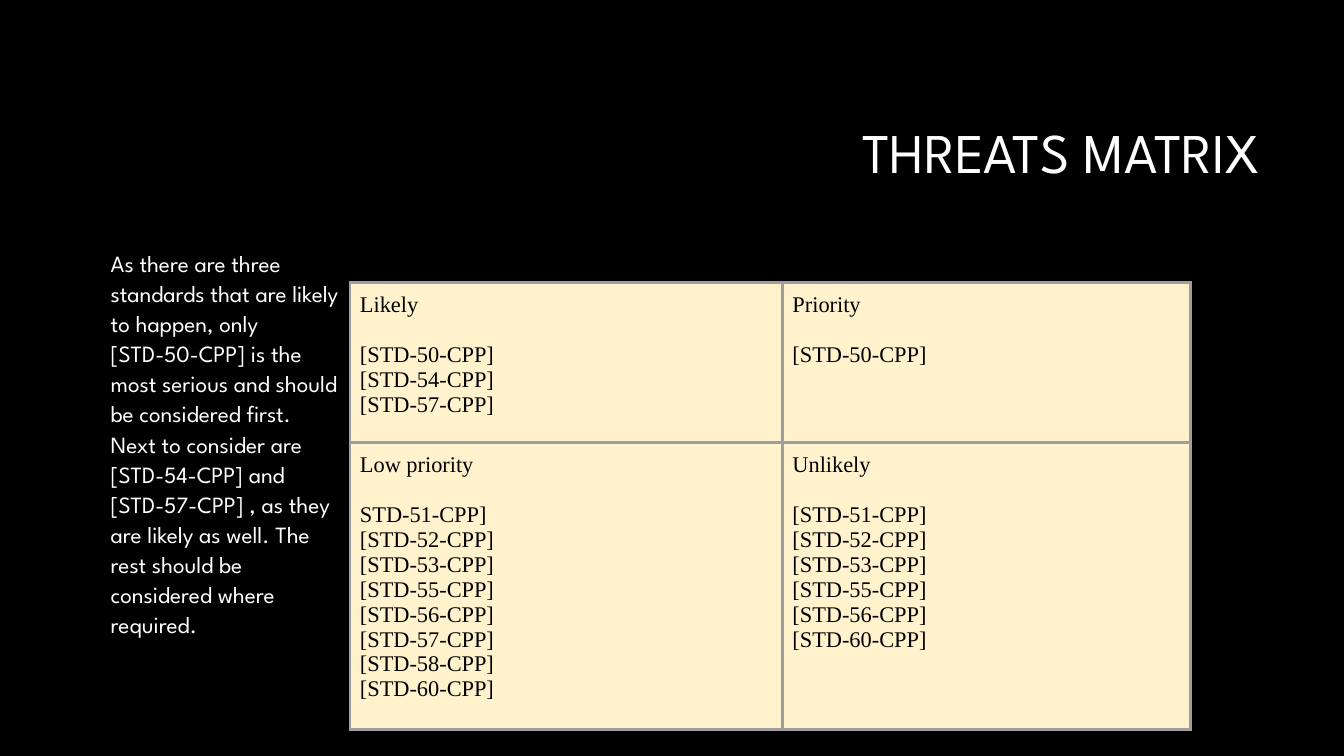
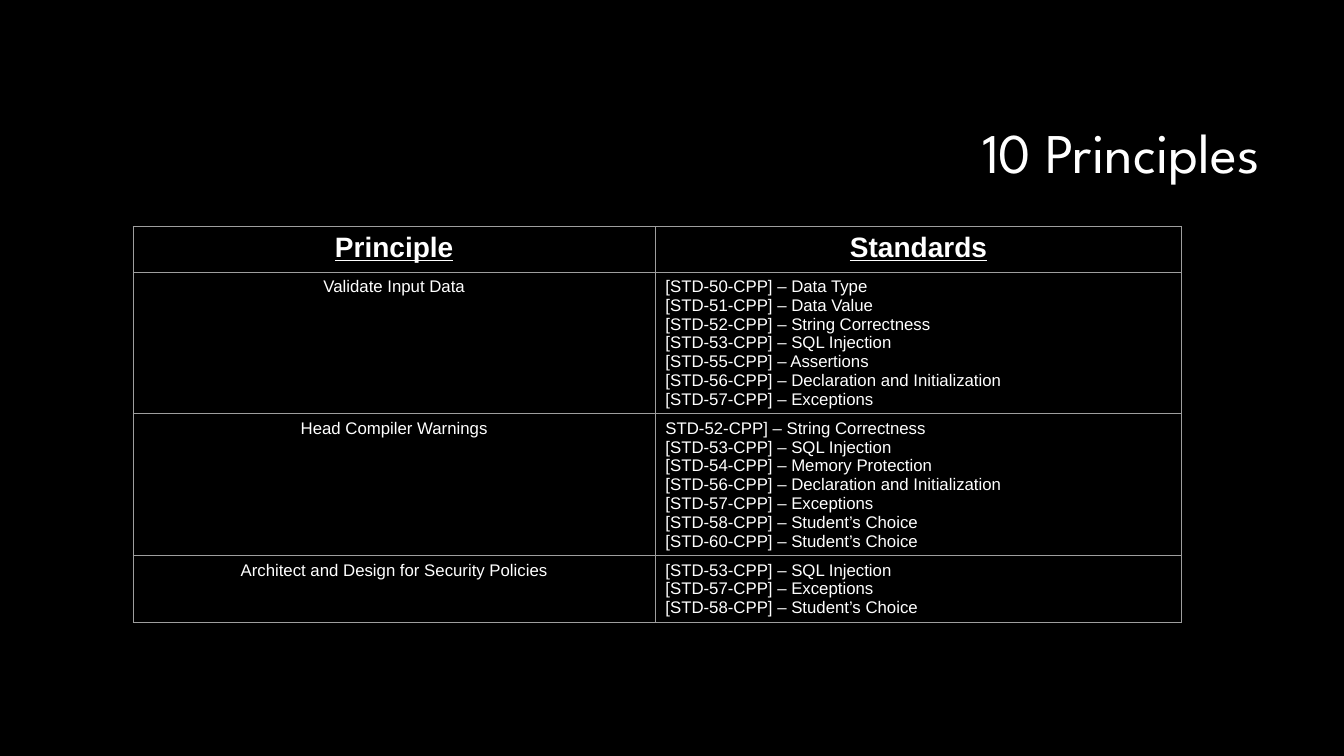
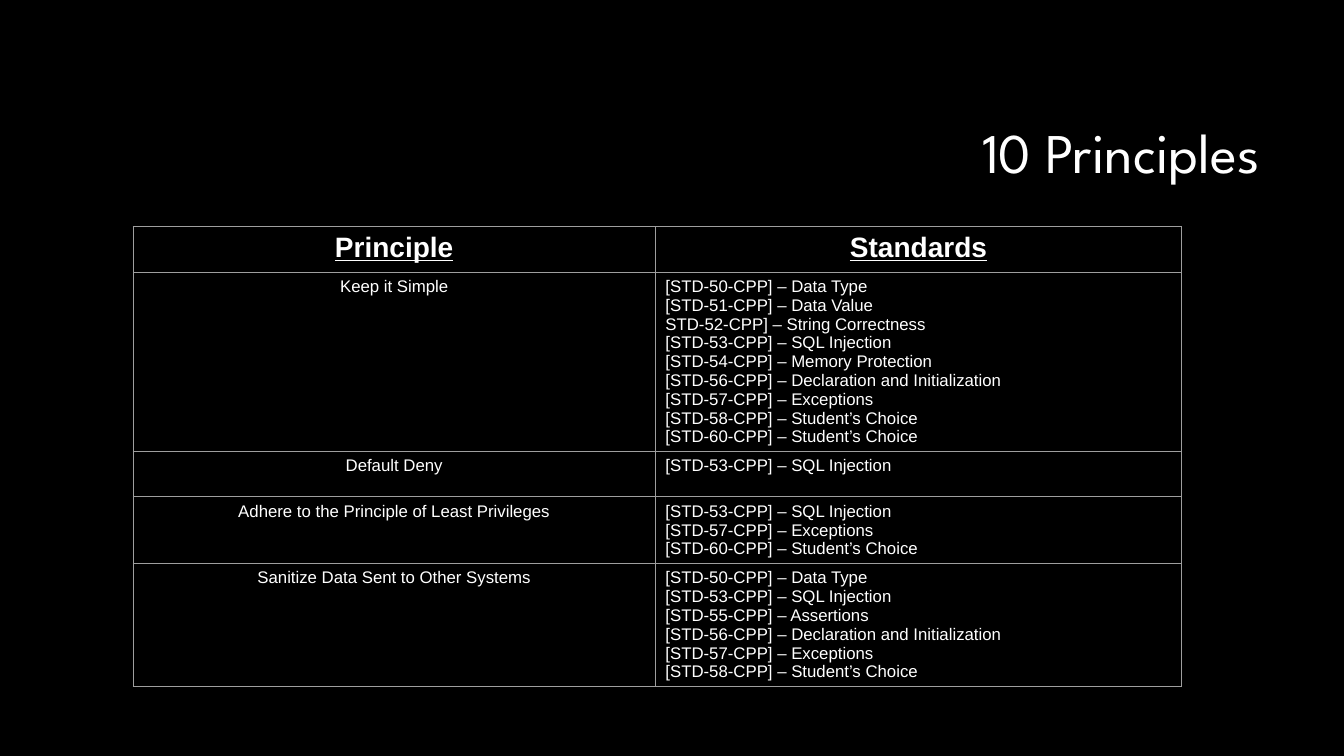
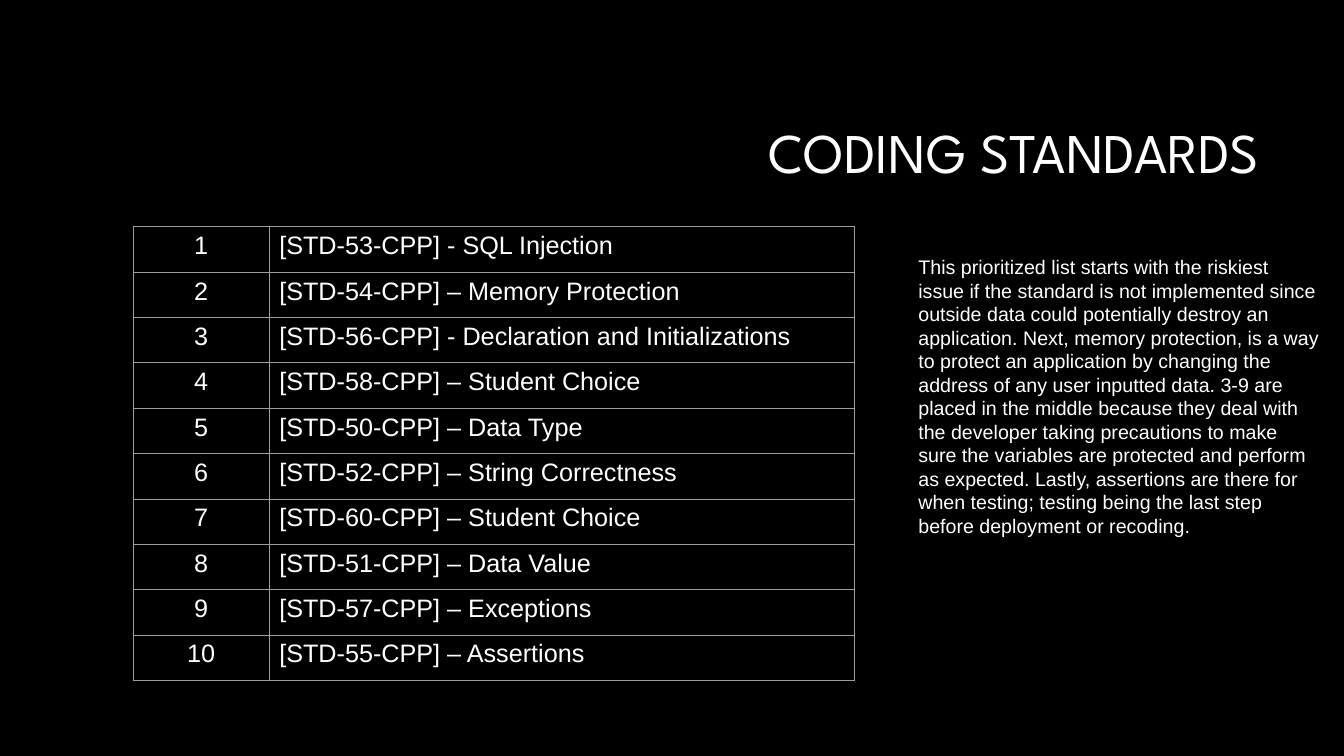
from dataclasses import dataclass
from lxml import etree
from pptx import Presentation
from pptx import util as u
from pptx.dml.color import RGBColor
from pptx.enum import text
from pptx.oxml import ns

PX = 9144
LEFT, MID, RIGHT = text.PP_ALIGN.LEFT, text.PP_ALIGN.CENTER, text.PP_ALIGN.RIGHT


@dataclass(frozen=True)
class Theme:
    ground: str = "000000"
    light: str = "FFFFFF"
    dark: str = "000000"
    cream: str = "FFF2CC"
    rule: str = "9E9E9E"
    display: str = "League Spartan"
    sans: str = "Arial"
    serif: str = "Times New Roman"
    title: float = 40
    head: float = 20
    list: float = 18
    body: float = 16.6
    grid: float = 16
    note: float = 14
    small: float = 12


NAMES = {
    50: "Data Type",
    51: "Data Value",
    52: "String Correctness",
    53: "SQL Injection",
    54: "Memory Protection",
    55: "Assertions",
    56: "Declaration and Initialization",
    57: "Exceptions",
    58: "Student’s Choice",
    60: "Student’s Choice",
}


def tags(*codes, bare=None):
    return [("" if code == bare else "[") + f"STD-{code}-CPP]" for code in codes]


def rules(*codes, bare=None):
    return [f"{tag} – {NAMES[code]}" for tag, code in zip(tags(*codes, bare=bare), codes)]


class Deck:
    def __init__(self, theme):
        self.theme = theme
        self.show = Presentation()
        self.show.slide_width, self.show.slide_height = 1333 * PX, 750 * PX
        self.paint(self.show.slide_master.background.fill, theme.ground)

    def paint(self, fill, color):
        fill.solid()
        fill.fore_color.rgb = RGBColor.from_string(color)

    def words(self, frame, lines, face, size, color, align=LEFT, space=None):
        frame.text = "\n".join(lines)
        for para in frame.paragraphs:
            para.alignment = align
            para.line_spacing = space
            para.font.name = face
            para.font.size = u.Pt(size)
            para.font.color.rgb = RGBColor.from_string(color)

    def slide(self, title):
        look = self.theme
        self.page = self.show.slides.add_slide(self.show.slide_layouts[5])
        shape = self.page.shapes.title
        shape.left, shape.top, shape.width, shape.height = (n * PX for n in (317, 84, 942, 141))
        frame = shape.text_frame
        frame.auto_size = text.MSO_AUTO_SIZE.NONE
        frame.vertical_anchor = text.MSO_ANCHOR.MIDDLE
        self.words(frame, [title], look.display, look.title, look.light, RIGHT, 0.9)

    def note(self, box, line, face, size, space=None):
        frame = self.page.shapes.add_textbox(*(n * PX for n in box)).text_frame
        frame.word_wrap = True
        self.words(frame, [line], face, size, self.theme.light, LEFT, space)

    def table(self, left, top, cols, rows):
        frame = self.page.shapes.add_table(
            len(rows), len(cols), left * PX, top * PX, sum(cols) * PX, sum(rows) * PX)
        grid = frame.table
        grid.first_row = grid.horz_banding = False
        for col, wide in zip(grid.columns, cols):
            col.width = wide * PX
        for row, high in zip(grid.rows, rows):
            row.height = high * PX
        return grid

    def cell(self, cell, lines, face, size, color, fill, line, align=LEFT):
        props = cell._tc.get_or_add_tcPr()
        for side in ("lnL", "lnR", "lnT", "lnB"):
            edge = etree.SubElement(props, ns.qn(f"a:{side}"), w=str(u.Pt(line)))
            solid = etree.SubElement(edge, ns.qn("a:solidFill"))
            etree.SubElement(solid, ns.qn("a:srgbClr"), val=self.theme.rule)
        self.paint(cell.fill, fill)
        self.words(cell.text_frame, lines, face, size, color, align)

    def plain(self, cell, lines, size, align=LEFT):
        look = self.theme
        self.cell(cell, lines, look.sans, size, look.light, look.ground, 0.75, align)

    def matrix(self, cells):
        look = self.theme
        grid = self.table(347, 280, [429, 405], [159, 267])
        for cell, (head, codes) in zip(grid.iter_cells(), cells):
            self.cell(cell, [head, *codes], look.serif, look.grid, look.dark, look.cream, 2.25)
            cell.margin_top = cell.margin_bottom = 10 * PX
            cell.text_frame.paragraphs[0].space_after = u.Pt(18)

    def topics(self, items):
        look = self.theme
        highs = [max(45, round(10 + 18.6 * len(lines))) for _, lines in items]
        grid = self.table(132, 225, [518, 522], [45, *highs])
        for col, head in enumerate(("Principle", "Standards")):
            cell = grid.cell(0, col)
            self.plain(cell, [head], look.head, MID)
            font = cell.text_frame.paragraphs[0].font
            font.bold = font.underline = True
        for row, (name, lines) in enumerate(items, 1):
            self.plain(grid.cell(row, 0), [name], look.small, MID)
            self.plain(grid.cell(row, 1), lines, look.small)

    def ranks(self, items):
        look = self.theme
        grid = self.table(132, 225, [135, 580], [45] * len(items))
        for row, item in enumerate(items):
            self.plain(grid.cell(row, 0), [str(row + 1)], look.list, MID)
            self.plain(grid.cell(row, 1), [item], look.list)


def main():
    look = Theme()
    deck = Deck(look)

    deck.slide("THREATS MATRIX")
    deck.note(
        (100, 240, 247, 440),
        "As there are three standards that are likely to happen, only [STD-50-CPP] is the "
        "most serious and should be considered first. Next to consider are [STD-54-CPP] and "
        "[STD-57-CPP] , as they are likely as well. The rest should be considered where required.",
        look.display, look.body, 1.08)
    deck.matrix([
        ("Likely", tags(50, 54, 57)),
        ("Priority", tags(50)),
        ("Low priority", tags(51, 52, 53, 55, 56, 57, 58, 60, bare=51)),
        ("Unlikely", tags(51, 52, 53, 55, 56, 60)),
    ])

    deck.slide("10 Principles")
    deck.topics([
        ("Validate Input Data", rules(50, 51, 52, 53, 55, 56, 57)),
        ("Head Compiler Warnings", rules(52, 53, 54, 56, 57, 58, 60, bare=52)),
        ("Architect and Design for Security Policies", rules(53, 57, 58)),
    ])

    deck.slide("10 Principles")
    deck.topics([
        ("Keep it Simple", rules(50, 51, 52, 53, 54, 56, 57, 58, 60, bare=52)),
        ("Default Deny", rules(53)),
        ("Adhere to the Principle of Least Privileges", rules(53, 57, 60)),
        ("Sanitize Data Sent to Other Systems", rules(50, 53, 55, 56, 57, 58)),
    ])

    deck.slide("CODING STANDARDS")
    deck.ranks([
        "[STD-53-CPP] - SQL Injection",
        "[STD-54-CPP] – Memory Protection",
        "[STD-56-CPP] - Declaration and Initializations",
        "[STD-58-CPP] – Student Choice",
        "[STD-50-CPP] – Data Type",
        "[STD-52-CPP] – String Correctness",
        "[STD-60-CPP] – Student Choice",
        "[STD-51-CPP] – Data Value",
        "[STD-57-CPP] – Exceptions",
        "[STD-55-CPP] – Assertions",
    ])
    deck.note(
        (901, 248, 418, 293),
        "This prioritized list starts with the riskiest issue if the standard is not implemented "
        "since outside data could potentially destroy an application. Next, memory protection, is "
        "a way to protect an application by changing the address of any user inputted data. 3-9 "
        "are placed in the middle because they deal with the developer taking precautions to make "
        "sure the variables are protected and perform as expected. Lastly, assertions are there "
        "for when testing; testing being the last step before deployment or recoding.",
        look.sans, look.note)

    deck.show.save("out.pptx")


if __name__ == "__main__":
    main()
